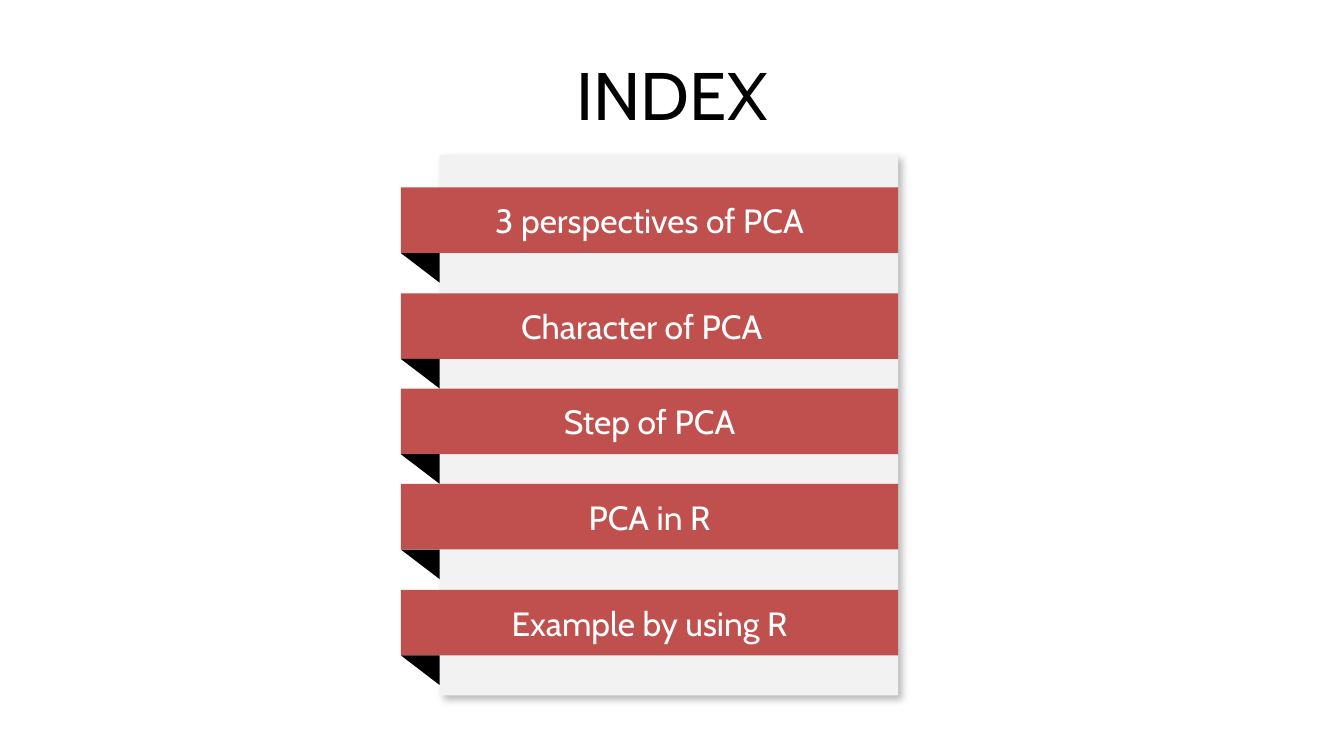
from itertools import accumulate

from lxml import etree
from pptx import Presentation
from pptx import util as u
from pptx.dml.color import RGBColor
from pptx.enum import shapes, text
from pptx.oxml.ns import qn

COLORS = {"title": "000000", "card": "F2F2F2", "ribbon": "C0504D",
          "fold": "000000", "label": "FFFFFF", "shadow": "000000"}
FONT = "Cabin"
CELL = u.Inches(0.1)
COLUMNS, ROWS = 100, 56.25
RIBBON_HEIGHT, FOLD_WIDTH, FOLD_HEIGHT = 4.88, 2.88, 2.2
FIRST_STEP, WIDE_STEP, NARROW_STEP = 2.4, 7.88, 7.09
ENTRIES = [("3 perspectives of PCA", 0), ("Character of PCA", 1.15),
           ("Step of PCA", 0), ("PCA in R", 0), ("Example by using R", 0)]


def cells(*counts):
    """Turn counts of grid cells into lengths."""
    return [round(count * CELL) for count in counts]


def write(shape, words, size, color):
    """Write one centred line into a shape."""
    frame = shape.text_frame
    frame.word_wrap = True
    frame.vertical_anchor = text.MSO_ANCHOR.MIDDLE
    paragraph = frame.paragraphs[0]
    paragraph.alignment = text.PP_ALIGN.CENTER
    run = paragraph.add_run()
    run.text = words
    run.font.name = FONT
    run.font.size = u.Pt(size)
    run.font.color.rgb = RGBColor.from_string(COLORS[color])


def add_block(parent, kind, box, color):
    """Add a flat filled shape without outline or shadow."""
    shape = parent.add_shape(kind, *cells(*box))
    shape.shadow.inherit = False
    shape.fill.solid()
    shape.fill.fore_color.rgb = RGBColor.from_string(COLORS[color])
    shape.line.fill.background()
    return shape


def add_title(slide, box):
    """Place the heading in its box."""
    write(slide.shapes.add_textbox(*cells(*box)), "INDEX", 36, "title")


def add_card(slide, box):
    """Place the pale card with its soft shadow."""
    card = add_block(slide.shapes, shapes.MSO_SHAPE.RECTANGLE, box, "card")
    effects = card._element.spPr.find(qn("a:effectLst"))
    shadow = etree.SubElement(effects, qn("a:outerShdw"), blurRad=str(u.Pt(4)),
                              dist=str(u.Pt(3)), dir="2700000", algn="tl", rotWithShape="0")
    color = etree.SubElement(shadow, qn("a:srgbClr"), val=COLORS["shadow"])
    etree.SubElement(color, qn("a:alpha"), val="28000")


def add_ribbon(slide, box, label, extra_inset):
    """Place a labelled ribbon and the fold below its left end."""
    left, top, width, height = box
    group = slide.shapes.add_group_shape()
    ribbon = add_block(group.shapes, shapes.MSO_SHAPE.RECTANGLE, box, "ribbon")
    write(ribbon, label, 18, "label")
    ribbon.text_frame.margin_right += cells(extra_inset)[0]
    fold = add_block(group.shapes, shapes.MSO_SHAPE.ISOSCELES_TRIANGLE,
                     (left, top + height, FOLD_WIDTH, FOLD_HEIGHT), "fold")
    fold.adjustments[0] = 0
    fold.rotation = 180


def add_index(slide, box):
    """Place the card and its ribbons, wider spaced at both ends."""
    left, top, width, height = box
    add_card(slide, (left + FOLD_WIDTH, top, width - FOLD_WIDTH, height))
    steps = [top + FIRST_STEP, WIDE_STEP, NARROW_STEP, NARROW_STEP, WIDE_STEP]
    for ribbon_top, (label, extra_inset) in zip(accumulate(steps), ENTRIES):
        add_ribbon(slide, (left, ribbon_top, width, RIBBON_HEIGHT), label, extra_inset)


def main():
    """Build and save the index slide."""
    presentation = Presentation()
    presentation.slide_width, presentation.slide_height = cells(COLUMNS, ROWS)
    slide = presentation.slides.add_slide(presentation.slide_layouts[6])
    add_title(slide, (5, 2.25, 90, 9.38))
    add_index(slide, (29.83, 11.55, 37, 40.2))
    presentation.save("out.pptx")


if __name__ == "__main__":
    main()
